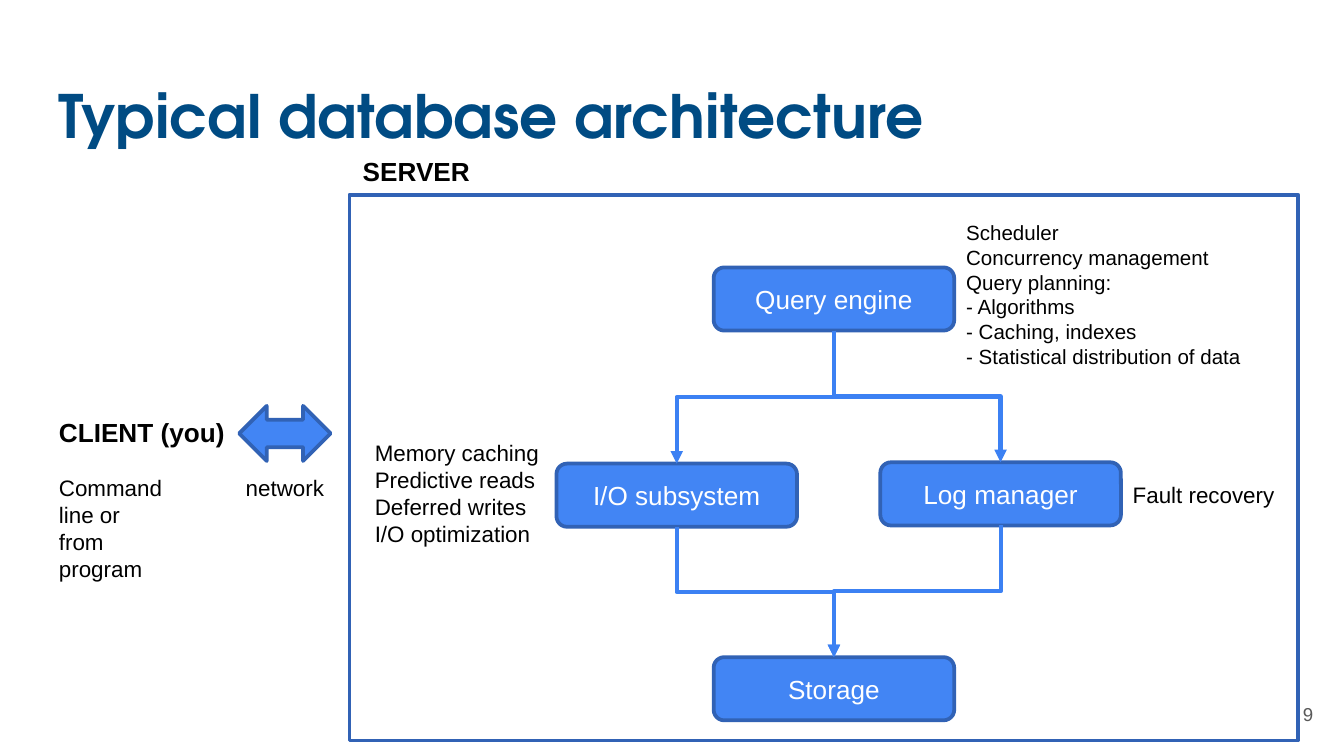
"""Build the database architecture slide with python-pptx."""
from lxml import etree
from pptx import Presentation
from pptx.dml.color import RGBColor
from pptx.enum.shapes import MSO_CONNECTOR, MSO_SHAPE
from pptx.enum.text import MSO_ANCHOR, PP_ALIGN
from pptx.oxml.ns import qn
from pptx.util import Inches, Pt

RECT, ROUND = MSO_SHAPE.RECTANGLE, MSO_SHAPE.ROUNDED_RECTANGLE
ARROW, ELBOW = MSO_SHAPE.LEFT_RIGHT_ARROW, MSO_CONNECTOR.ELBOW
LEFT, CENTER, RIGHT = PP_ALIGN.LEFT, PP_ALIGN.CENTER, PP_ALIGN.RIGHT
TOP, MIDDLE = MSO_ANCHOR.TOP, MSO_ANCHOR.MIDDLE

COLORS = {
    "title": "004B83", "text": "000000", "number": "595959", "white": "FFFFFF",
    "fill": "4285F4", "border": "3162B5", "link": "3C81F3",
}
BOX_W, BOX_H = 1.79, 0.47


def write(sp, lines, size, color="text", bold=False, font="Arial", align=LEFT,
          anchor=TOP, wrap=True, inset=0.05):
    tf = sp.text_frame
    frame = {"word_wrap": wrap, "vertical_anchor": anchor,
             "margin_top": Inches(inset), "margin_bottom": Inches(inset)}
    for name, value in frame.items():
        setattr(tf, name, value)
    for i, line in enumerate(lines):
        p = tf.paragraphs[0] if i == 0 else tf.add_paragraph()
        p.alignment = align
        r = p.add_run()
        r.text = line
        for name, value in {"name": font, "size": Pt(size), "bold": bold}.items():
            setattr(r.font, name, value)
        r.font.color.rgb = RGBColor.from_string(COLORS[color])


def add_box(kind, x, y, w, h, filled=True):
    sp = slide.shapes.add_shape(kind, Inches(x), Inches(y), Inches(w), Inches(h))
    sp.shadow.inherit = False
    if filled:
        sp.fill.solid()
        sp.fill.fore_color.rgb = RGBColor.from_string(COLORS["fill"])
    else:
        sp.fill.background()
    sp.line.color.rgb = RGBColor.from_string(COLORS["border"])
    sp.line.width = Pt(2)
    return sp


prs = Presentation()
prs.slide_width, prs.slide_height = Inches(10), Inches(10 * 9 / 16)
slide = prs.slides.add_slide(prs.slide_layouts[6])

add_box(RECT, 2.6, 1.45, 7.06, 4.06, filled=False)

boxes = {
    "Query engine": (5.31, 1.99),
    "I/O subsystem": (4.14, 3.45),
    "Log manager": (6.55, 3.44),
    "Storage": (5.31, 4.89),
}
for label, (x, y) in boxes.items():
    sp = add_box(ROUND, x, y, BOX_W, BOX_H)
    write(sp, [label], 14, "white", align=CENTER, anchor=MIDDLE)

links = [
    ("Query engine", "I/O subsystem"),
    ("Query engine", "Log manager"),
    ("I/O subsystem", "Storage"),
    ("Log manager", "Storage"),
]
for start, end in links:
    (x1, y1), (x2, y2) = boxes[start], boxes[end]
    y1 += BOX_H
    mid_x, mid_y = (x1 + x2 + BOX_W) / 2, (y1 + y2) / 2
    half_w, half_h = (y2 - y1) / 2, abs(x2 - x1) / 2
    side = 1 if x2 < x1 else -1
    sp = slide.shapes.add_connector(
        ELBOW, Inches(mid_x - side * half_w), Inches(mid_y - half_h),
        Inches(mid_x + side * half_w), Inches(mid_y + half_h))
    sp.line.color.rgb = RGBColor.from_string(COLORS["link"])
    sp.line.width = Pt(2.25)
    sp_pr = sp._element.spPr
    sp_pr.find(qn("a:xfrm")).set("rot", str((90 if side == 1 else 270) * 60000))
    etree.SubElement(sp_pr.find(qn("a:ln")), qn("a:tailEnd"), type="triangle")
    etree.SubElement(sp_pr, qn("a:effectLst"))

add_box(ARROW, 1.78, 3.02, 0.68, 0.41)

heading = {"size": 14, "bold": True, "wrap": False}
note = {"size": 12}
texts = [
    (0.34, 0.49, 9.32, 0.63, ["Typical database architecture"],
     {"size": 32, "color": "title", "bold": True, "font": "TeX Gyre Adventor", "inset": 0.1}),
    (9.27, 5.1, 0.6, 0.43, ["9"],
     {"size": 10, "color": "number", "align": RIGHT, "anchor": MIDDLE, "inset": 0.1}),
    (7.09, 1.59, 2.52, 1.21,
     ["Scheduler", "Concurrency management", "Query planning:", "- Algorithms",
      "- Caching, indexes", "- Statistical distribution of data"], {"size": 11}),
    (2.69, 3.22, 1.51, 0.91,
     ["Memory caching", "Predictive reads", "Deferred writes", "I/O optimization"], note),
    (8.33, 3.53, 1.26, 0.3, ["Fault recovery"], note),
    (2.6, 1.11, 1.01, 0.34, ["SERVER"], heading),
    (0.34, 3.05, 1.44, 0.34, ["CLIENT (you)"], heading),
    (1.73, 3.48, 0.82, 0.3, ["network"], note),
    (0.34, 3.48, 1, 0.91, ["Command line or", "from program"], note),
]
for x, y, w, h, lines, style in texts:
    sp = slide.shapes.add_textbox(Inches(x), Inches(y), Inches(w), Inches(h))
    write(sp, lines, **style)

prs.save("out.pptx")
